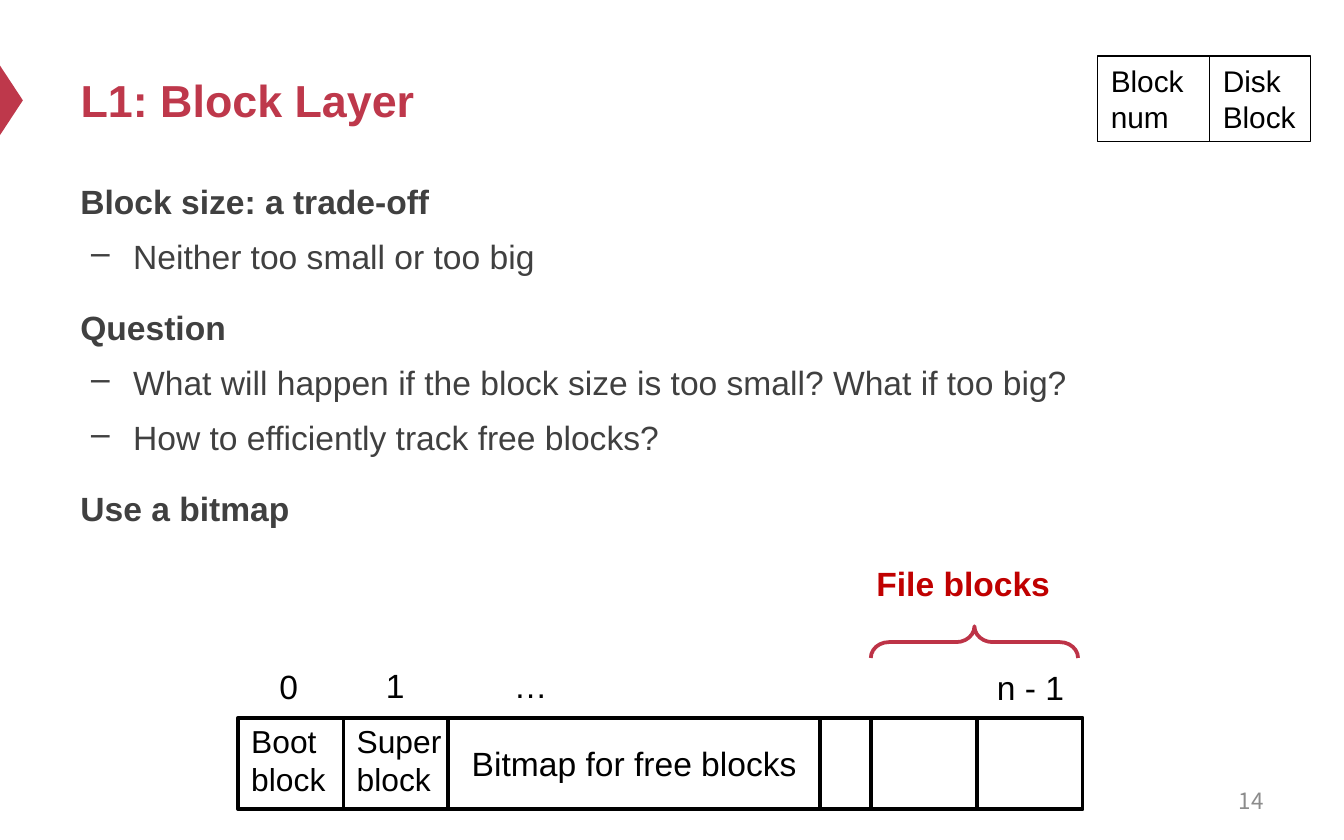
import pptx
import pptx.util
import pptx.dml.color
import pptx.enum.shapes
import pptx.enum.text
import lxml.etree

Pt = pptx.util.Pt
RGBColor = pptx.dml.color.RGBColor
SHAPE = pptx.enum.shapes.MSO_SHAPE
ANCHOR = pptx.enum.text.MSO_ANCHOR
ALIGN = pptx.enum.text.PP_ALIGN

ACCENT = RGBColor(0xBE, 0x38, 0x4B)
BRACE = RGBColor(0xBD, 0x33, 0x47)
RED = RGBColor(0xC0, 0x00, 0x00)
DARK = RGBColor(0x40, 0x40, 0x40)
GRAY = RGBColor(0x8C, 0x8C, 0x8C)
BLACK = RGBColor(0, 0, 0)

deck = pptx.Presentation()
deck.slide_width, deck.slide_height = Pt(720), Pt(450)
page = deck.slides.add_slide(deck.slide_layouts[5])


def write(shape, lines, size, color=BLACK, bold=False, align=ALIGN.LEFT,
          anchor=ANCHOR.TOP, wrap=True, font="Arial"):
    frame = shape.text_frame
    frame.word_wrap = wrap
    frame.vertical_anchor = anchor
    frame.text = lines
    for para in frame.paragraphs:
        para.alignment = align
        para.font.name = font
        para.font.size = Pt(size)
        para.font.bold = bold
        para.font.color.rgb = color


def outline(kind, left, top, width, height, color=BLACK, weight=2):
    shape = page.shapes.add_shape(kind, Pt(left), Pt(top), Pt(width), Pt(height))
    shape.shadow.inherit = False
    shape.fill.background()
    shape.line.color.rgb = color
    shape.line.width = Pt(weight)
    return shape


# Red marker at the left edge
marker = outline(SHAPE.ISOSCELES_TRIANGLE, -13, 47.5, 38, 12.5)
marker.rotation = 90
marker.fill.solid()
marker.fill.fore_color.rgb = ACCENT
marker.line.fill.background()

# Title
title = page.shapes.title
title.left, title.top, title.width, title.height = Pt(36), Pt(18), Pt(648), Pt(70.5)
write(title, "L1: Block Layer", 24, ACCENT, True, anchor=ANCHOR.MIDDLE)

# Body: headings (level 0) and dashed points (level 1)
points = [
    (0, "Block size: a trade-off"),
    (1, "Neither too small or too big"),
    (0, "Question"),
    (1, "What will happen if the block size is too small? What if too big?"),
    (1, "How to efficiently track free blocks?"),
    (0, "Use a bitmap"),
]
body = page.shapes.add_textbox(Pt(36), Pt(89.3), Pt(648), Pt(296))
write(body, "\n".join(text for level, text in points), 18, DARK)
for para, (level, text) in zip(body.text_frame.paragraphs, points):
    para.level = level
    para.line_spacing = 1.2
    para.space_before = Pt(3.6 if level else 12)
    para.font.bold = level == 0
    if level:
        props = para._p.get_or_add_pPr()
        props.set("marL", str(Pt(28.3)))
        props.set("indent", str(Pt(-22.5)))
        bullet = lxml.etree.Element(pptx.oxml.ns.qn("a:buChar"), char="–")
        props.find(pptx.oxml.ns.qn("a:defRPr")).addprevious(bullet)

# Block number and disk block pair
for left, width, text in [(588, 60, "Block\nnum"), (648, 54, "Disk\nBlock")]:
    cell = outline(SHAPE.RECTANGLE, left, 30, width, 46, weight=0.75)
    write(cell, text, 16, anchor=ANCHOR.MIDDLE)

# Disk layout: each block runs from its edge to the next
edges = [127.5, 184, 240, 439.5, 466.5, 523.5, 580]
names = ["Boot\nblock", "Super\nblock", "Bitmap for free blocks", "", "", ""]
for left, right, name in zip(edges, edges[1:], names):
    block = outline(SHAPE.RECTANGLE, left, 384.5, right - left, 49)
    if "\n" in name:
        write(block, name, 17)
        block.text_frame.margin_top = Pt(2)
        block.text_frame.margin_right = 0
    elif name:
        write(block, name, 18, align=ALIGN.CENTER, anchor=ANCHOR.MIDDLE)

# Brace over the file blocks
brace = outline(SHAPE.LEFT_BRACE, 513.5, 288.5, 17, 111, BRACE)
brace.adjustments[0] = 0.571
brace.rotation = 90

# Labels above the blocks
labels = [
    (142.5, 353, 24.5, "0", BLACK),
    (199.5, 352.5, 24.5, "1", BLACK),
    (268, 352.5, 32.5, "…", BLACK),
    (526.5, 353.5, 51, "n - 1", BLACK),
    (461.5, 298, 109, "File blocks", RED),
]
for left, top, width, text, color in labels:
    label = page.shapes.add_textbox(Pt(left), Pt(top), Pt(width), Pt(29))
    write(label, text, 18, color, color == RED, ALIGN.CENTER, wrap=False)

# Page number
number = page.shapes.add_textbox(Pt(516), Pt(417), Pt(168), Pt(24))
write(number, "14", 12, GRAY, align=ALIGN.RIGHT, anchor=ANCHOR.MIDDLE,
      font="Noto Sans CJK SC")

deck.save("out.pptx")
